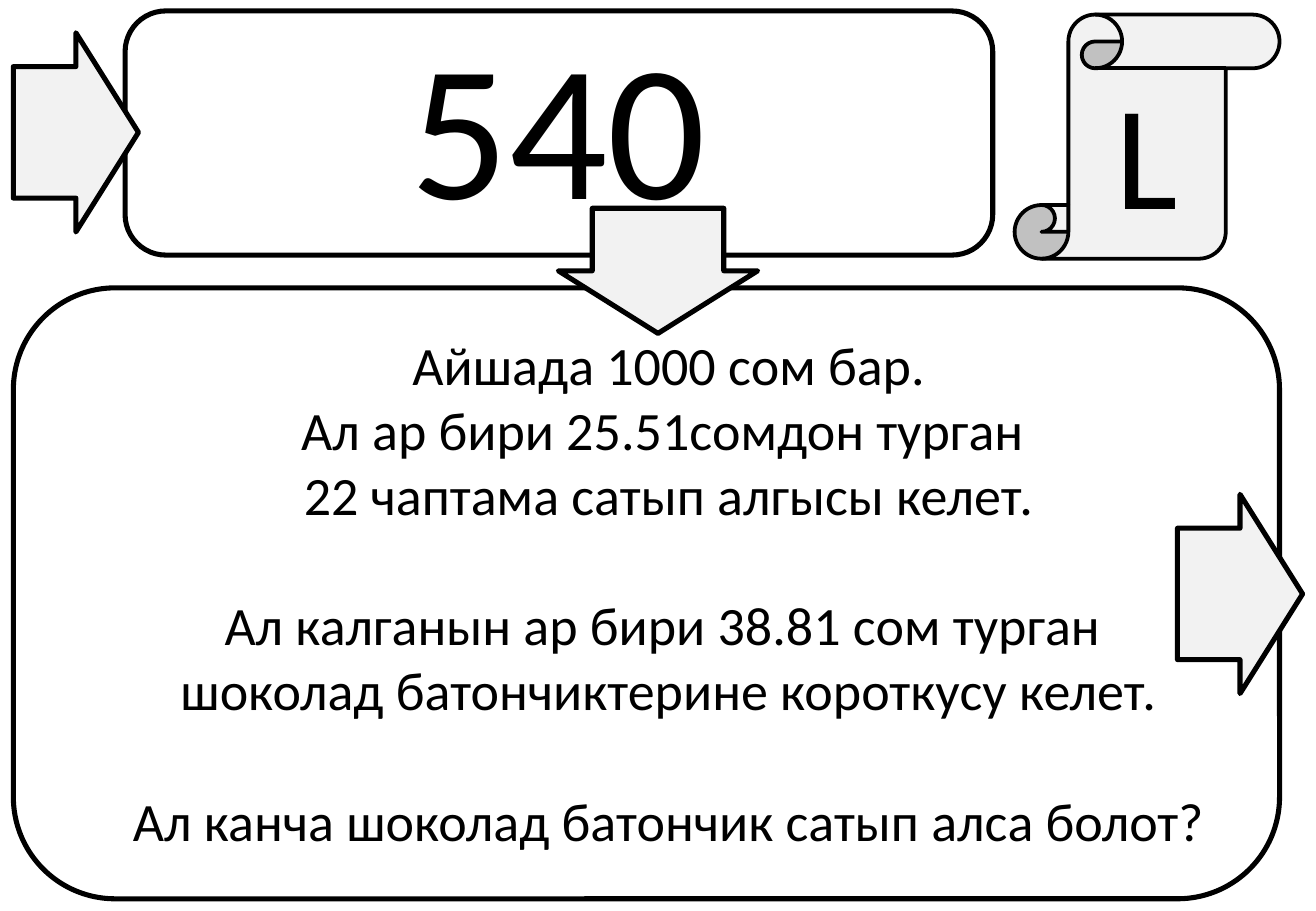
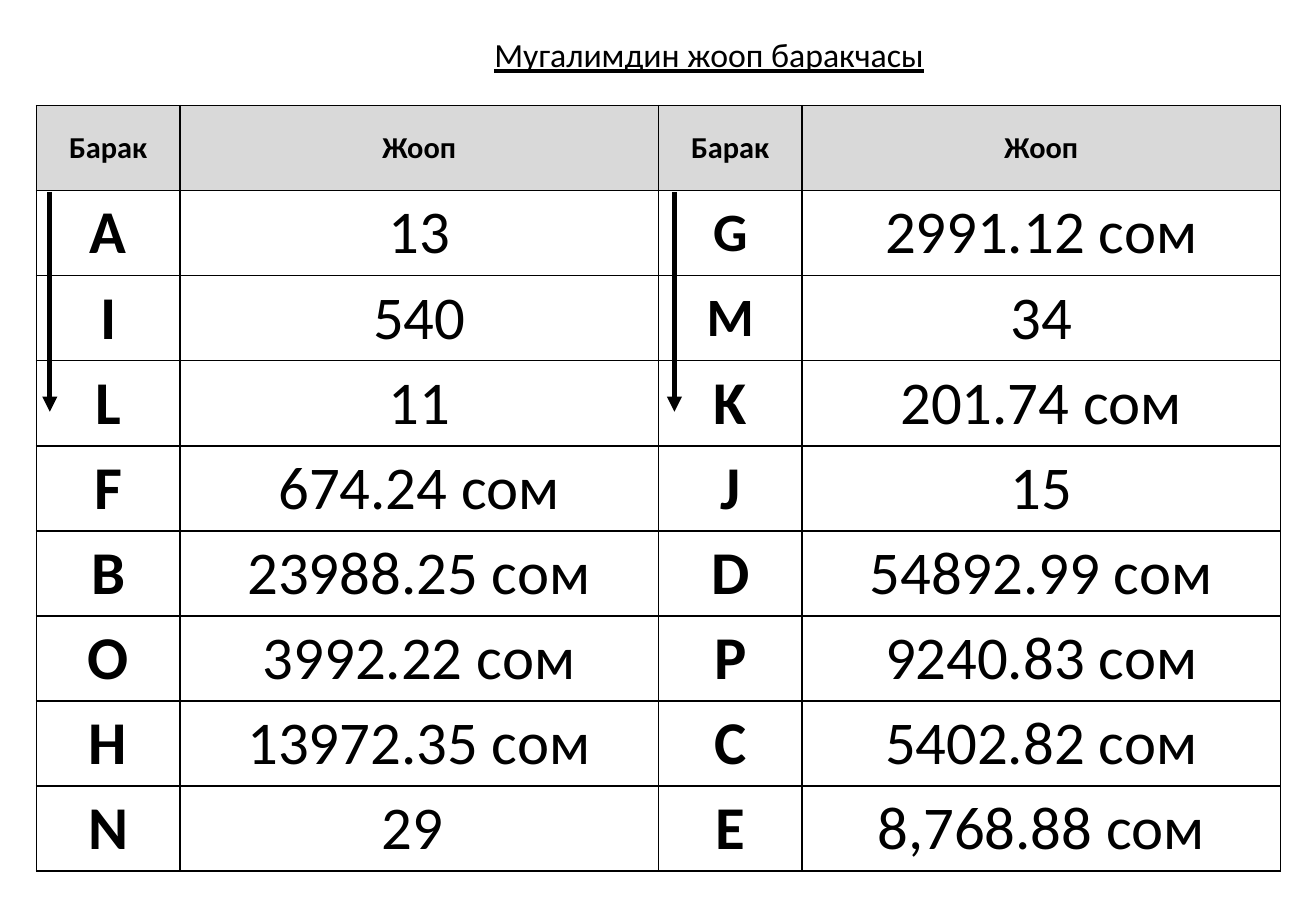
from lxml import etree
from pptx import Presentation
from pptx import util as u
from pptx.dml.color import RGBColor
from pptx.enum import shapes, text
from pptx.oxml import ns

PX = 9144  # 100 px to the inch
BLACK, WHITE, PALE, HEADER = "000000", "FFFFFF", "F2F2F2", "D9D9D9"
FONT = "Calibri"
CENTER = text.PP_ALIGN.CENTER
KIND = shapes.MSO_SHAPE

QUESTION = [  # line, space before in points
    ("Айшада 1000 сом бар.", 0),
    ("Ал ар бири 25.51сомдон турган ", 0),
    ("22 чаптама сатып алгысы келет.", 0),
    ("Ал калганын ар бири 38.81 сом турган ", 39),
    ("шоколад батончиктерине короткусу келет.", 0),
    ("Ал канча шоколад батончик сатып алса болот?", 39),
]
ANSWERS = [
    ("Барак", "Жооп", "Барак", "Жооп"),
    ("A", "13", "G", "2991.12 сом"),
    ("I", "540", "M", "34"),
    ("L", "11", "K", "201.74 сом"),
    ("F", "674.24 сом", "J", "15"),
    ("B", "23988.25 сом", "D", "54892.99 сом"),
    ("O", "3992.22 сом", "P", "9240.83 сом"),
    ("H", "13972.35 сом", "C", "5402.82 сом"),
    ("N", "29 ", "E", "8,768.88 сом"),
]
SMALLER_LETTERS = ("G", "M")


def emu(*lengths):
    return [length * PX for length in lengths]


def color(value):
    return RGBColor.from_string(value)


def paint(target, value):
    target.fill.solid()
    target.fill.fore_color.rgb = color(value)


def draw_line(line, width):
    line.color.rgb = color(BLACK)
    line.width = u.Pt(width)


def set_attributes(target, values):
    for name, value in values.items():
        setattr(target, name, value)


def write(frame, lines, size, align=CENTER, **styles):
    """Fill a text frame with (line, space before) pairs in one format."""
    for index, (line, space) in enumerate(lines):
        para = frame.add_paragraph() if index else frame.paragraphs[0]
        para.alignment = align
        if space:
            para.space_before = u.Pt(space)
        span = para.add_run()
        span.text = line
        set_attributes(span.font, {"name": FONT, "size": u.Pt(size), **styles})
        span.font.color.rgb = color(BLACK)


def add_figure(page, kind, place, fill=None, width=3, adjustments=(), rotation=0):
    figure = page.shapes.add_shape(kind, *emu(*place))
    figure.shadow.inherit = False
    figure.rotation = rotation
    if fill:
        paint(figure, fill)
    else:
        figure.fill.background()
    draw_line(figure.line, width)
    for index, value in enumerate(adjustments):
        figure.adjustments[index] = value
    return figure


def add_block_arrow(page, left, top, rotation=0):
    add_figure(page, KIND.RIGHT_ARROW, (left, top, 103, 164), PALE,
               adjustments=(0.66, 0.5), rotation=rotation)


def add_text(page, place, lines, size, **styles):
    box = page.shapes.add_textbox(*emu(*place))
    set_attributes(box.text_frame, {
        "word_wrap": False, "auto_size": text.MSO_AUTO_SIZE.SHAPE_TO_FIT_TEXT})
    write(box.text_frame, lines, size, **styles)


def add_down_arrow(page, x, top, bottom):
    arrow = page.shapes.add_connector(
        shapes.MSO_CONNECTOR.STRAIGHT, *emu(x, top, x, bottom))
    draw_line(arrow.line, 3)
    properties = arrow._element.spPr
    etree.SubElement(properties.find(ns.qn("a:ln")), ns.qn("a:tailEnd"), type="triangle")
    etree.SubElement(properties, ns.qn("a:effectLst"))


def add_borders(cell):
    """Draw the four cell edges; they must come before the fill."""
    properties = cell._tc.get_or_add_tcPr()
    for side in ("lnL", "lnR", "lnT", "lnB"):
        edge = etree.SubElement(properties, ns.qn("a:" + side), w=str(u.Pt(1)))
        fill = etree.SubElement(edge, ns.qn("a:solidFill"))
        etree.SubElement(fill, ns.qn("a:srgbClr"), val=BLACK)


def answer_style(row, column, value):
    """Return the text size and weight of a cell."""
    if row == 0:
        return 18, True
    return 32 if value in SMALLER_LETTERS else 36, column % 2 == 0


def add_answer_table(page):
    widths, height = (118, 394, 118, 394), 70
    table = page.shapes.add_table(
        len(ANSWERS), len(widths),
        *emu(30, 87, sum(widths), height * len(ANSWERS))).table
    set_attributes(table, {"first_row": False, "horz_banding": False})
    for column, width in zip(table.columns, widths):
        column.width = width * PX
    for row, values in enumerate(ANSWERS):
        table.rows[row].height = height * PX
        for column, value in enumerate(values):
            cell = table.cell(row, column)
            set_attributes(cell, {"vertical_anchor": text.MSO_ANCHOR.MIDDLE,
                                  "margin_top": 0, "margin_bottom": 0})
            add_borders(cell)
            paint(cell, WHITE if row else HEADER)
            size, bold = answer_style(row, column, value)
            write(cell.text_frame, [(value, 0)], size, bold=bold)


def build_question(page):
    add_figure(page, KIND.ROUNDED_RECTANGLE, (11, 237, 1042, 503))
    add_figure(page, KIND.ROUNDED_RECTANGLE, (103, 9, 714, 201))
    add_block_arrow(page, 969, 407)
    add_block_arrow(page, 490, 141, rotation=90)
    add_block_arrow(page, 11, 27)
    scroll = add_figure(page, KIND.VERTICAL_SCROLL, (835, 12, 218, 201), PALE,
                        width=2.25, adjustments=(0.22,))
    side, edge = emu(11, 5)
    set_attributes(scroll.text_frame, {
        "vertical_anchor": text.MSO_ANCHOR.MIDDLE, "margin_left": side,
        "margin_right": side, "margin_top": edge, "margin_bottom": edge})
    write(scroll.text_frame, [("L", 0)], 88)
    add_text(page, (327, 0, 265, 204), [("540", 0)], 115)
    add_text(page, (95, 268, 911, 441), QUESTION, 32)


def build_answers(page):
    add_answer_table(page)
    add_text(page, (397, 23, 376, 44), [("Мугалимдин жооп баракчасы", 0)], 20,
             align=text.PP_ALIGN.LEFT, underline=True)
    for x in (41, 555):
        add_down_arrow(page, x, 158, 339)


def main():
    deck = Presentation()
    deck.slide_width, deck.slide_height = emu(1083, 750)
    for build in (build_question, build_answers):
        build(deck.slides.add_slide(deck.slide_layouts[6]))
    deck.save("out.pptx")


if __name__ == "__main__":
    main()
